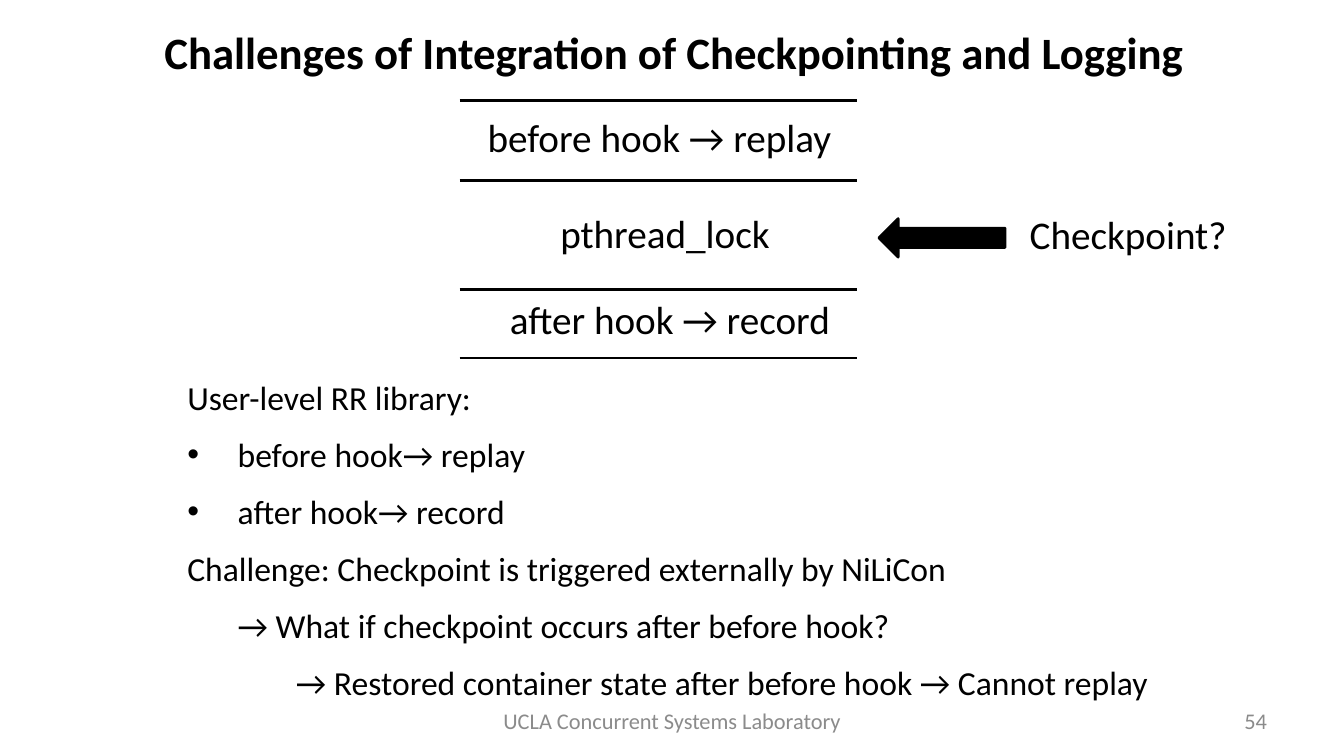
from pptx import Presentation
from pptx.dml.color import RGBColor
from pptx.enum.shapes import MSO_CONNECTOR as Link, MSO_SHAPE as Kind
from pptx.enum.text import MSO_ANCHOR as Anchor, PP_ALIGN as Align
from pptx.oxml.ns import qn
from pptx.util import Cm, Pt
from lxml.etree import SubElement as Sub


def tint(code):
    return RGBColor.from_string(code)


class Deck:
    """Holds the style and the current slide, and draws its elements."""

    font = "Calibri"
    ink = "000000"
    grey = "8B8B8B"
    rule = Pt(2)

    def __init__(self, show):
        self.slide = show.slides.add_slide(show.slide_layouts[6])
        self.shapes = self.slide.shapes

    def style(self, para, size, ink, bold=False):
        para.font.name = self.font
        para.font.size = Pt(size)
        para.font.bold = bold
        para.font.color.rgb = tint(ink)

    def frame(self, left, top, width, height, anchor):
        box = self.shapes.add_textbox(Cm(left), Cm(top), Cm(width), Cm(height))
        frame = box.text_frame
        frame.word_wrap = True
        frame.vertical_anchor = anchor
        return frame

    def label(self, text, left, top, width, height=1.45, size=28, ink=ink,
              align=Align.LEFT, anchor=Anchor.TOP, bold=False):
        para = self.frame(left, top, width, height, anchor).paragraphs[0]
        para.text = text
        para.alignment = align
        self.style(para, size, ink, bold)

    def notes(self, items, left, top, width, height, size=24):
        frame = self.frame(left, top, width, height, Anchor.TOP)
        for i, (text, inset, mark) in enumerate(items):
            para = frame.add_paragraph() if i else frame.paragraphs[0]
            para.text = text
            if i:
                para.space_before = Pt(12)
            props = para._p.get_or_add_pPr()
            props.set("marL", str(Cm(inset)))
            props.set("indent", str(Cm(-inset if mark else 0)))
            if mark:
                Sub(props, qn("a:buFont")).set("typeface", "Arial")
                Sub(props, qn("a:buChar")).set("char", "•")
            self.style(para, size, self.ink)

    def line(self, left, right, y):
        line = self.shapes.add_connector(
            Link.STRAIGHT, Cm(left), Cm(y), Cm(right), Cm(y))
        line.line.color.rgb = tint(self.ink)
        line.line.width = self.rule
        Sub(line._element.spPr, qn("a:effectLst"))

    def arrow(self, left, top, width, height):
        arrow = self.shapes.add_shape(
            Kind.LEFT_ARROW, Cm(left), Cm(top), Cm(width), Cm(height))
        arrow.shadow.inherit = False
        arrow.fill.solid()
        arrow.fill.fore_color.rgb = tint(self.ink)
        arrow.line.color.rgb = tint(self.ink)
        arrow.line.width = self.rule


def main():
    show = Presentation()
    show.slide_width, show.slide_height = Cm(33.87), Cm(19.05)
    deck = Deck(show)

    deck.label("Challenges of Integration of Checkpointing and Logging",
               1.02, 0.15, 31.95, 2.29, size=32, align=Align.CENTER,
               anchor=Anchor.MIDDLE, bold=True)
    for text, left, width, align in (
            ("UCLA Concurrent Systems Laboratory", 11.58, 10.72, Align.CENTER),
            ("54", 24.28, 7.9, Align.RIGHT)):
        deck.label(text, left, 17.65, width, 1.02, size=16, ink=deck.grey,
                   align=align, anchor=Anchor.MIDDLE)

    deck.notes((
        ("User-level RR library:", 0, False),
        ("before hook→ replay", 1.27, True),
        ("after hook→ record", 1.27, True),
        ("Challenge: Checkpoint is triggered externally by NiLiCon", 0, False),
        ("→ What if checkpoint occurs after before hook?", 1.27, False),
        ("→ Restored container state after before hook → Cannot replay",
         2.74, False),
    ), 4.47, 9.37, 24.94, 8.56)

    for y in (2.54, 4.55, 7.29, 9.02):
        deck.line(11.58, 21.59, y)
    for text, left, top, width in (
            ("before hook → replay", 12.04, 2.74, 9.4),
            ("pthread_lock", 13.87, 5.16, 6.2),
            ("after hook → record", 12.6, 7.32, 8.9),
            ("Checkpoint?", 25.7, 5.18, 6)):
        deck.label(text, left, top, width)
    deck.arrow(22.15, 5.51, 3.18, 0.97)

    show.save("out.pptx")


if __name__ == "__main__":
    main()
